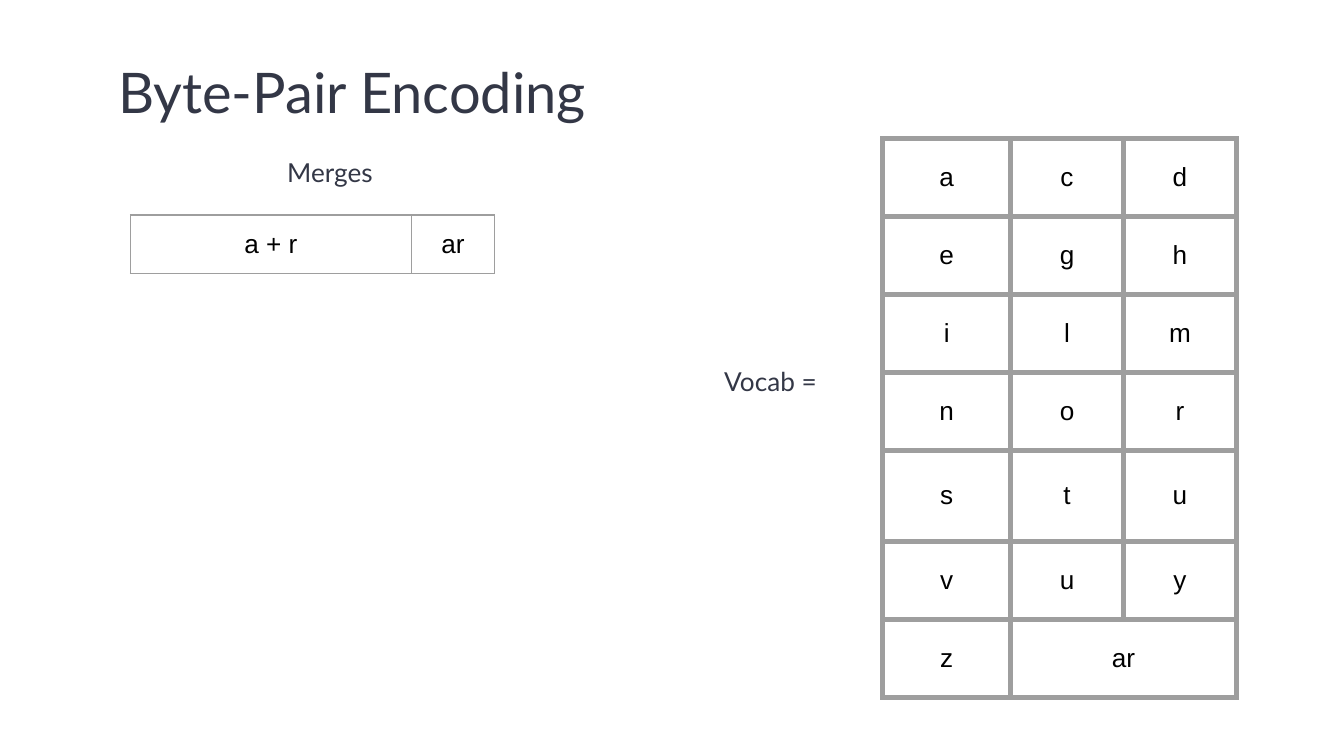
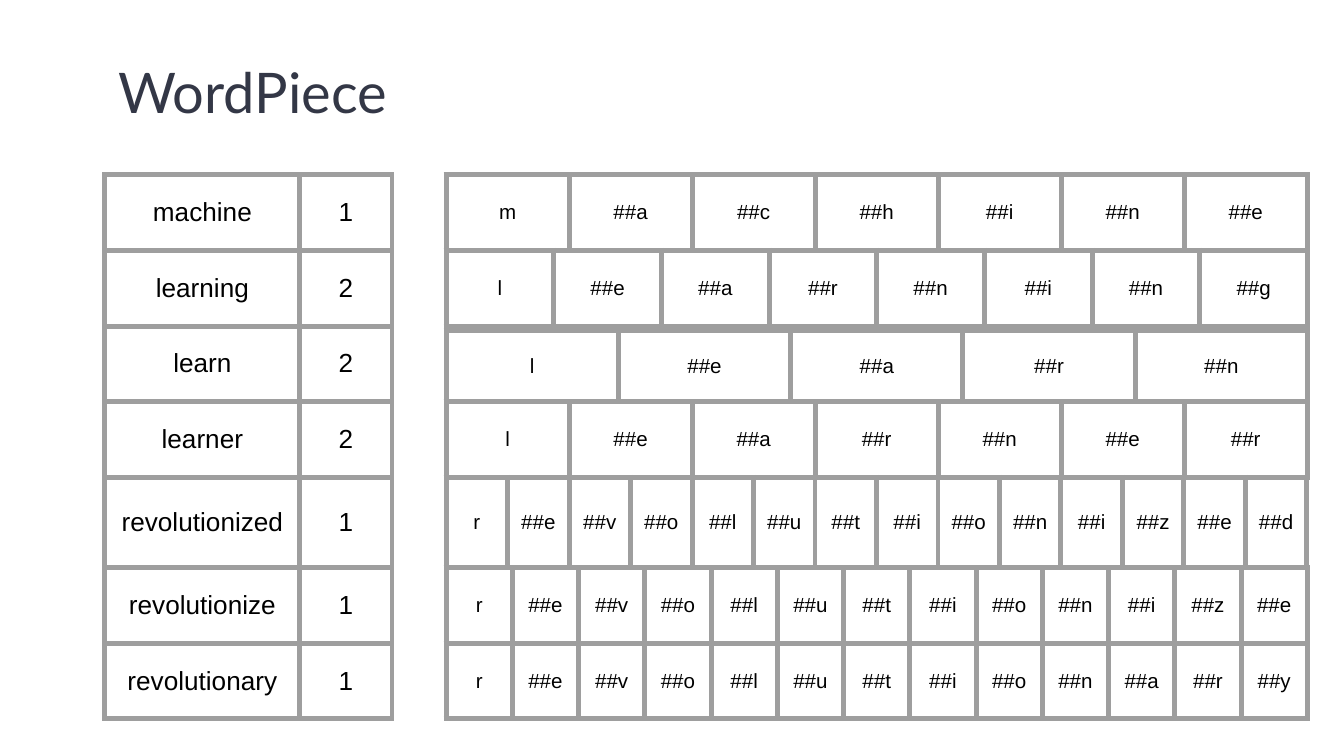
import pptx
import pptx.dml.color
import pptx.enum.text
import pptx.oxml.ns
import pptx.util
from dataclasses import dataclass
from lxml import etree

Pt = pptx.util.Pt
RGB = pptx.dml.color.RGBColor
ALIGN = pptx.enum.text.PP_ALIGN
ANCHOR = pptx.enum.text.MSO_ANCHOR


@dataclass(frozen=True)
class Theme:
    heading_font: str = "Lato"
    cell_font: str = "Arial"
    heading_color: str = "333746"
    cell_color: str = "000000"
    border_color: str = "9E9E9E"
    title_size: float = 30
    label_size: float = 14
    cell_size: float = 14
    piece_size: float = 11
    thick: float = 3
    thin: float = 0.75
    inset: float = 7.2


theme = Theme()


def add_text(s, text, x, y, w, h, size, align=ALIGN.LEFT, anchor=ANCHOR.TOP):
    tf = s.shapes.add_textbox(Pt(x), Pt(y), Pt(w), Pt(h)).text_frame
    tf.word_wrap = True
    tf.vertical_anchor = anchor
    tf.margin_left = tf.margin_right = Pt(theme.inset)
    tf.margin_top = tf.margin_bottom = Pt(theme.inset)
    p = tf.paragraphs[0]
    p.text = text
    p.alignment = align
    p.line_spacing = 1.15
    p.font.name = theme.heading_font
    p.font.size = Pt(size)
    p.font.color.rgb = RGB.from_string(theme.heading_color)


def add_grid(s, rows, x, y, widths, heights, size=theme.cell_size, border=theme.thick):
    table = s.shapes.add_table(len(rows), len(widths), Pt(x), Pt(y),
                               Pt(sum(widths)), Pt(sum(heights))).table
    table.first_row = table.horz_banding = False
    for column, width in zip(table.columns, widths):
        column.width = Pt(width)
    for row, height in zip(table.rows, heights):
        row.height = Pt(height)
    for i, texts in enumerate(rows):
        for j, text in enumerate(texts):
            cell = table.cell(i, j)
            cell.vertical_anchor = ANCHOR.MIDDLE
            cell.margin_left = cell.margin_right = Pt(theme.inset)
            cell.margin_top = cell.margin_bottom = Pt(theme.inset)
            p = cell.text_frame.paragraphs[0]
            p.text = text
            p.alignment = ALIGN.CENTER
            p.font.name = theme.cell_font
            p.font.size = Pt(size)
            p.font.color.rgb = RGB.from_string(theme.cell_color)
            # Borders go before the fill
            tcPr = cell._tc.get_or_add_tcPr()
            for side in ("a:lnL", "a:lnR", "a:lnT", "a:lnB"):
                ln = etree.SubElement(tcPr, pptx.oxml.ns.qn(side), w=str(Pt(border)))
                fill = etree.SubElement(ln, pptx.oxml.ns.qn("a:solidFill"))
                etree.SubElement(fill, pptx.oxml.ns.qn("a:srgbClr"), val=theme.border_color)
            cell.fill.background()
    return table


prs = pptx.Presentation()
prs.slide_width, prs.slide_height = Pt(720), Pt(405)

# Slides with their titles
slides = []
for title in ("Byte-Pair Encoding", "WordPiece"):
    s = prs.slides.add_slide(prs.slide_layouts[6])
    add_text(s, title, 56.2, 18, 597.6, 55.4, theme.title_size)
    slides.append(s)
bpe, wordpiece = slides

# Vocabulary, with the newest token across two columns
vocab = [list(letters) for letters in ("acd", "egh", "ilm", "nor", "stu", "vuy")]
vocab.append(["z", "ar", ""])
vocab_heights = [41.75] * 4 + [49] + [41.75] * 2
table = add_grid(bpe, vocab, 473, 74.2, [68.4, 60.5, 60.5], vocab_heights)
table.cell(6, 1).merge(table.cell(6, 2))
add_text(bpe, "Vocab =", 380.9, 185.8, 72.7, 33.1, theme.label_size)

# Merges
add_text(bpe, "Merges", 140.4, 74.2, 72.7, 33.1, theme.label_size,
         ALIGN.CENTER, ANCHOR.MIDDLE)
add_grid(bpe, [["a + r", "ar"]], 69.9, 115.2, [150.5, 44.6], [30.6], border=theme.thin)

# Word counts
counts = {"machine": 1, "learning": 2, "learn": 2, "learner": 2,
          "revolutionized": 1, "revolutionize": 1, "revolutionary": 1}
count_rows = [[word, str(count)] for word, count in counts.items()]
word_heights = [40.55] * 4 + [48.3] + [40.55] * 2
top = 93.6
add_grid(wordpiece, count_rows, 56.2, top, [104.5, 49.3], word_heights)

# Each word split into pieces, one table per row
pieces_width = 461.5
for word, height in zip(counts, word_heights):
    pieces = [word[0]] + ["##" + letter for letter in word[1:]]
    gap = 2.4 if word == "learn" else 0
    add_grid(wordpiece, [pieces], 239, top + gap,
             [pieces_width / len(pieces)] * len(pieces), [height - gap], theme.piece_size)
    top += height

prs.save("out.pptx")
